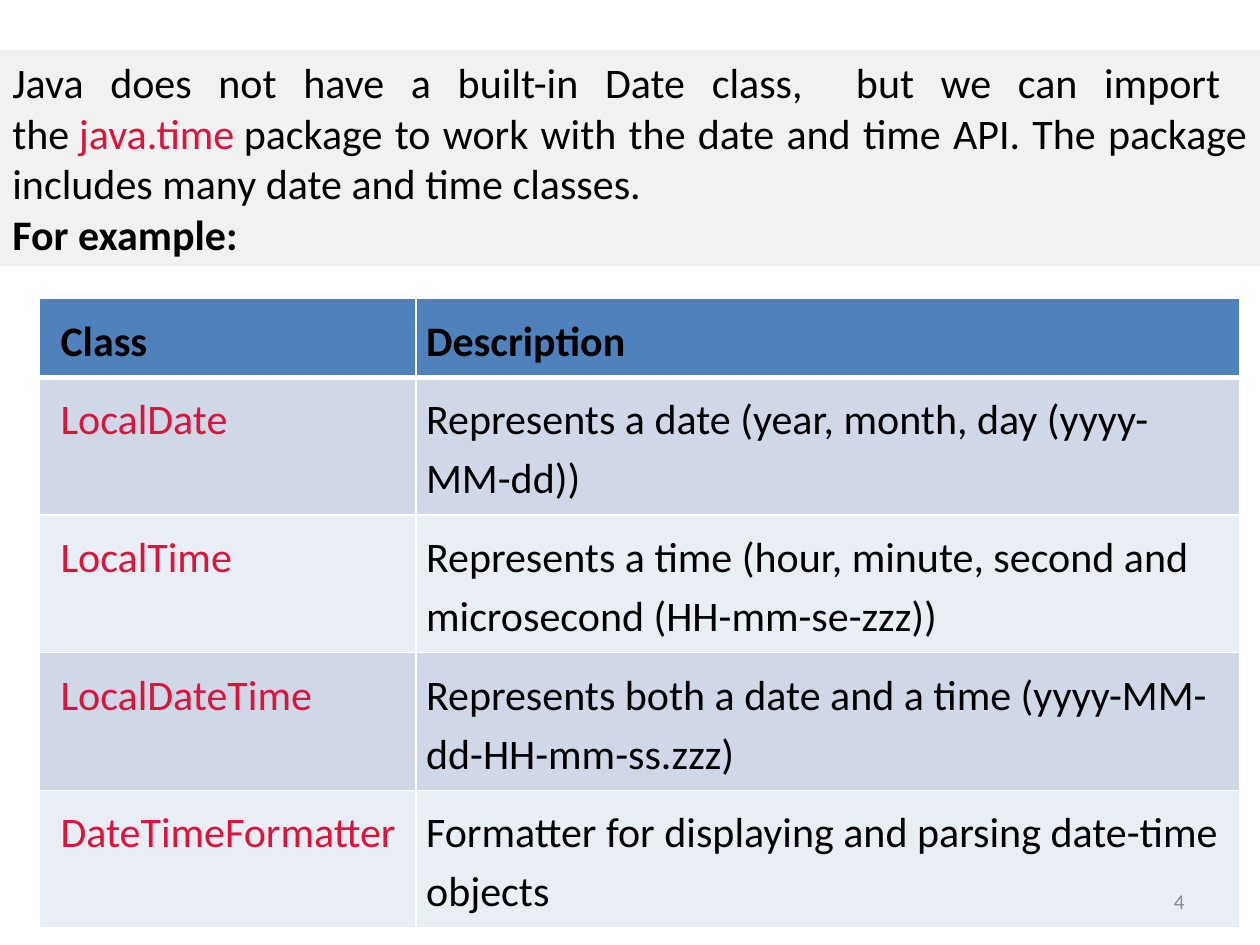
from dataclasses import dataclass

from lxml import etree
from pptx import Presentation, util as u
from pptx.dml.color import RGBColor
from pptx.enum import shapes, text
from pptx.oxml.ns import qn


@dataclass(frozen=True)
class Theme:
    """Colours, font and type sizes of the slide."""
    font: str = "Calibri"
    body: int = 24
    small: int = 12
    ink: str = "000000"
    code: str = "DC143C"
    muted: str = "8C8C8C"
    panel: str = "F1F1F1"
    header: str = "4F81BD"
    bands: tuple = ("D0D8E8", "E9EDF4")
    rule: str = "FFFFFF"


THEME = Theme()
INTRO = [
    (text.PP_ALIGN.JUSTIFY, [
        ("Java does not have a built-in Date class,  but we can import  the\u00a0", {}),
        ("java.time", {"color": THEME.code}),
        ("\u00a0package to work with the date and time API. "
         "The package includes many date and time classes. ", {}),
    ]),
    (text.PP_ALIGN.LEFT, [("For example: ", {"bold": True})]),
]
CLASSES = [
    ("Class", "Description"),
    ("LocalDate", "Represents a date (year, month, day (yyyy-MM-dd))"),
    ("LocalTime", "Represents a time (hour, minute, second and microsecond (HH-mm-se-zzz))"),
    ("LocalDateTime", "Represents both a date and a time (yyyy-MM-dd-HH-mm-ss.zzz)"),
    ("DateTimeFormatter", "Formatter for displaying and parsing date-time objects"),
]


def assign(target, values):
    """Set each attribute named in values on target."""
    for name, value in values.items():
        setattr(target, name, value)


def paint(fill, color):
    """Give a fill one solid colour."""
    fill.solid()
    fill.fore_color.rgb = RGBColor.from_string(color)


def add_run(paragraph, words, color=THEME.ink, size=THEME.body, bold=False):
    """Append a run of text in the theme font."""
    run = paragraph.add_run()
    run.text = words
    assign(run.font, {"name": THEME.font, "size": u.Pt(size), "bold": bold})
    run.font.color.rgb = RGBColor.from_string(color)


def rule_cell(cell, widths):
    """Draw the four cell borders, given as points by side (L, R, T, B)."""
    for side, width in widths.items():
        line = etree.SubElement(cell._tc.get_or_add_tcPr(), qn(f"a:ln{side}"),
                                w=str(u.Pt(width)))
        solid = etree.SubElement(line, qn("a:solidFill"))
        etree.SubElement(solid, qn("a:srgbClr"), val=THEME.rule)


def intro_panel(slide, left, top, width, height):
    """Place the shaded introduction in the given box."""
    panel = slide.shapes.add_shape(shapes.MSO_SHAPE.RECTANGLE, left, top, width, height)
    panel.shadow.inherit = False
    paint(panel.fill, THEME.panel)
    panel.line.fill.background()
    frame = panel.text_frame
    assign(frame, {"word_wrap": True, "vertical_anchor": text.MSO_ANCHOR.MIDDLE})
    for index, (alignment, runs) in enumerate(INTRO):
        paragraph = frame.add_paragraph() if index else frame.paragraphs[0]
        paragraph.alignment = alignment
        for words, style in runs:
            add_run(paragraph, words, **style)


def class_table(slide, left, top, width, height):
    """Place the table of date and time classes in the given box."""
    table = slide.shapes.add_table(len(CLASSES), 2, left, top, width, height).table
    name_width, header_height = u.Cm(7.59), u.Cm(1.58)
    table.columns[0].width, table.columns[1].width = name_width, width - name_width
    row_height = (height - header_height) // (len(CLASSES) - 1)
    for row, entry in enumerate(CLASSES):
        is_header = row == 0
        table.rows[row].height = header_height if is_header else row_height
        for column, words in enumerate(entry):
            cell = table.cell(row, column)
            rule_cell(cell, {"L": 1, "R": 1, "T": 3 if row == 1 else 1,
                             "B": 3 if is_header else 1})
            paint(cell.fill, THEME.header if is_header else THEME.bands[(row - 1) % 2])
            pad = u.Cm(0.2)
            assign(cell, {"margin_left": pad if column else u.Cm(0.42),
                          "margin_right": pad, "margin_top": pad, "margin_bottom": pad})
            paragraph = cell.text_frame.paragraphs[0]
            assign(paragraph, {"line_spacing": 1.15, "space_before": u.Pt(15),
                               "space_after": u.Pt(15)})
            is_code = column == 0 and not is_header
            add_run(paragraph, words, THEME.code if is_code else THEME.ink, bold=is_header)


def page_number(slide, left, top, width, height):
    """Place the page number at the right of the given box."""
    frame = slide.shapes.add_textbox(left, top, width, height).text_frame
    assign(frame, {"word_wrap": True, "vertical_anchor": text.MSO_ANCHOR.MIDDLE})
    paragraph = frame.paragraphs[0]
    paragraph.alignment = text.PP_ALIGN.RIGHT
    add_run(paragraph, "4", THEME.muted, THEME.small)


def main():
    """Build the slide and save it."""
    deck = Presentation()
    assign(deck, {"slide_width": u.Cm(25.4), "slide_height": u.Cm(19.05)})
    slide = deck.slides.add_slide(deck.slide_layouts[6])
    class_table(slide, u.Cm(0.8), u.Cm(6.02), u.Cm(24.2), u.Cm(12.62))
    page_number(slide, u.Cm(18.2), u.Cm(17.66), u.Cm(5.93), u.Cm(1.01))
    intro_panel(slide, u.Cm(0), u.Cm(1), deck.slide_width, u.Cm(4.36))
    deck.save("out.pptx")


main()
